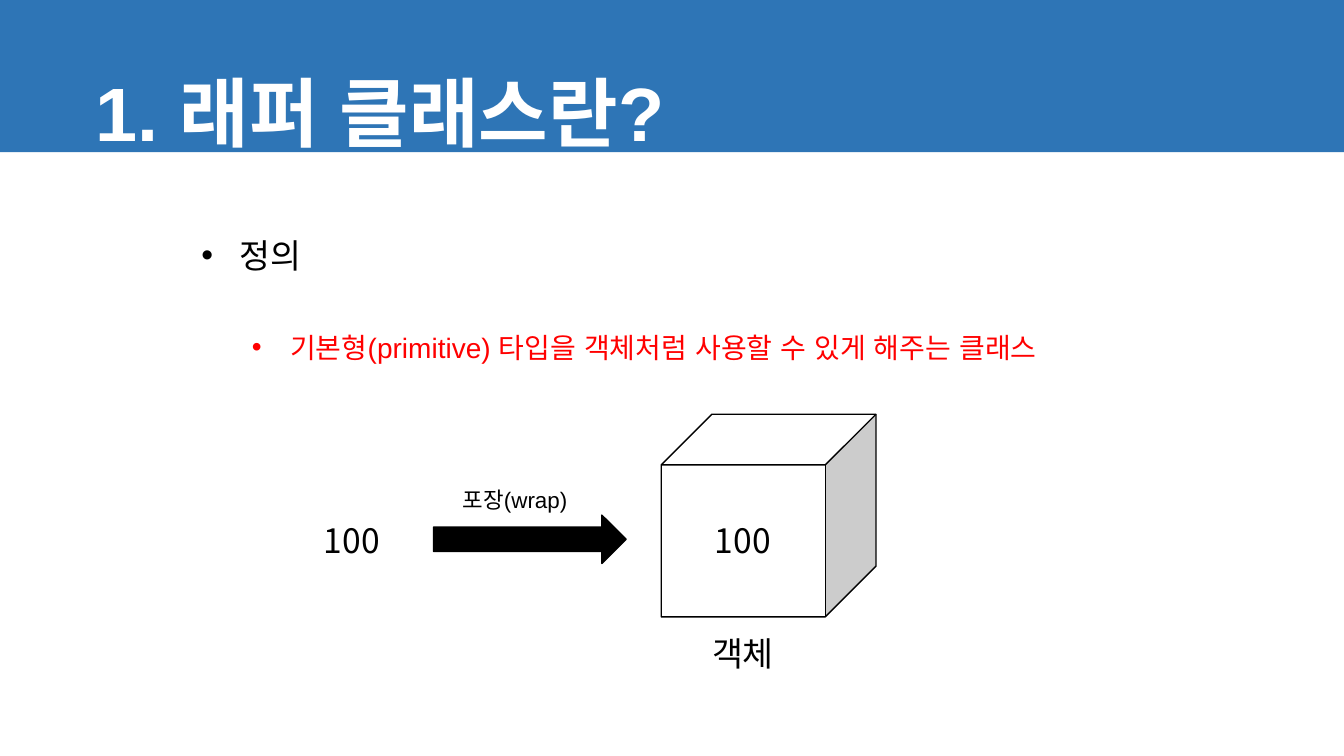
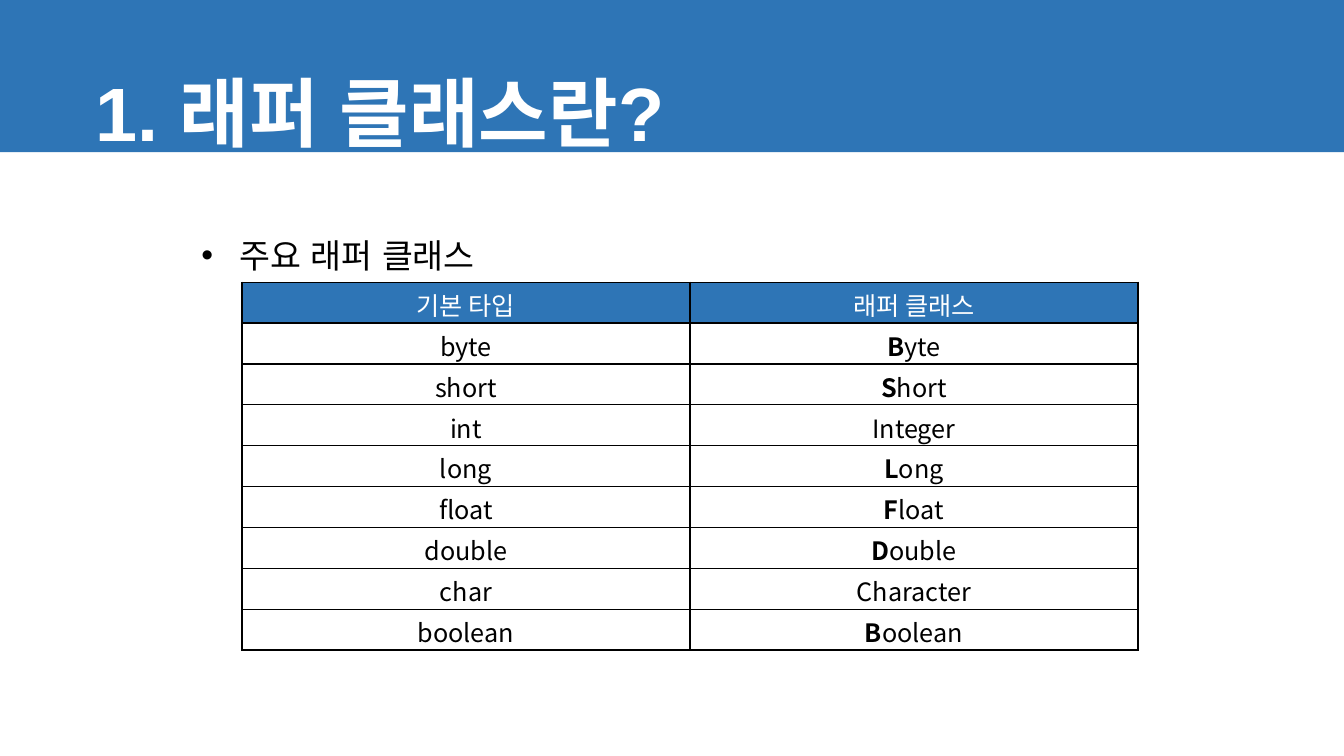
import pptx
import pptx.dml.color
import pptx.enum.shapes
import pptx.enum.text
import pptx.oxml
import pptx.oxml.ns
import pptx.util

BLUE, WHITE, BLACK, RED, CLEAR = "2E75B6", "FFFFFF", "000000", "FF0000", ""
ARIAL, NOTO = "Arial", "Noto Sans CJK KR"
WIDE, HIGH = pptx.util.Inches(13.333), pptx.util.Inches(7.5)
SHAPE = pptx.enum.shapes.MSO_SHAPE
ANCHOR = pptx.enum.text.MSO_ANCHOR
CENTER = pptx.enum.text.PP_ALIGN.CENTER
TITLE = "1. 래퍼 클래스란?"
# Columns of the wrapping diagram, in percent of the slide's width
LEFT, MID, RIGHT, SPAN = 20.1, 32.25, 49.2, 12.15
TYPES = [
    ("byte", "Byte"), ("short", "Short"), ("int", "Integer"),
    ("long", "Long"), ("float", "Float"), ("double", "Double"),
    ("char", "Character"), ("boolean", "Boolean"),
]


def color(code):
    return pptx.dml.color.RGBColor.from_string(code)


def area(left, top, width, height):
    """Turn percent of the slide's size into lengths."""
    return [int(share * side / 100) for share, side in
            ((left, WIDE), (top, HIGH), (width, WIDE), (height, HIGH))]


def node(tag, inner=""):
    """Make a drawing element from its tag with attributes and its content."""
    name = tag.split()[0]
    space = pptx.oxml.ns.nsdecls("a")
    return pptx.oxml.parse_xml(f"<a:{tag} {space}>{inner}</a:{name}>")


def write(para, text, size, font=ARIAL, ink=BLACK, bold=False):
    run = para.add_run()
    run.text = text
    run.font.size = pptx.util.Pt(size)
    run.font.name = font
    run.font.bold = bold
    run.font.color.rgb = color(ink)
    run.font._element.find(pptx.oxml.ns.qn("a:latin")).addnext(
        node(f'ea typeface="{font}"'))


def form(slide, kind, place, fill, line=None):
    shape = slide.shapes.add_shape(kind, *area(*place))
    shape.shadow.inherit = False
    shape.fill.solid()
    shape.fill.fore_color.rgb = color(fill)
    if line:
        shape.line.color.rgb = color(line)
        shape.line.width = pptx.util.Pt(1)
    else:
        shape.line.fill.background()


def frame(slide, place, anchor=ANCHOR.TOP):
    text = slide.shapes.add_textbox(*area(*place)).text_frame
    text.word_wrap = True
    text.vertical_anchor = anchor
    return text


def label(slide, place, text, size=24, font=NOTO):
    para = frame(slide, place).paragraphs[0]
    para.alignment = CENTER
    write(para, text, size, font)


def bullet(para, text, level=0, size=24, ink=BLACK):
    para.level = level
    para.line_spacing = 2.5
    para.space_before = pptx.util.Pt(3.5)
    props = para._p.get_or_add_pPr()
    hang = pptx.util.Inches(0.38)
    props.set("marL", str(hang + level * pptx.util.Inches(0.5)))
    props.set("indent", str(-hang))
    props.append(node('buFont typeface="Arial"'))
    props.append(node('buChar char="•"'))
    write(para, text, size, ink=ink)


def page(deck, topic, height):
    """Add a slide with title band and topic; return it and the topic's text."""
    slide = deck.slides.add_slide(deck.slide_layouts[6])
    form(slide, SHAPE.RECTANGLE, (0, 0, 100, 20.13), BLUE)
    para = frame(slide, (6.38, 7.87, 86.25, 13.6), ANCHOR.BOTTOM).paragraphs[0]
    para.line_spacing = 0.9
    write(para, TITLE, 54, ink=WHITE, bold=True)
    body = frame(slide, (14.25, 22.4, 78.38, height))
    bullet(body.paragraphs[0], topic)
    return slide, body


def style(cell, fill):
    """Set borders, fill, margins and alignment of a cell."""
    props = cell._tc.get_or_add_tcPr()
    ink = f'<a:solidFill><a:srgbClr val="{BLACK}"/></a:solidFill>'
    for side in "LRTB":
        props.append(node(f'ln{side} w="{pptx.util.Pt(1)}"', ink))
    if fill:
        cell.fill.solid()
        cell.fill.fore_color.rgb = color(fill)
    else:
        cell.fill.background()
    cell.margin_top, cell.margin_bottom = pptx.util.Inches(0.04), 0
    para = cell.text_frame.paragraphs[0]
    para.alignment = CENTER
    return para


def grid(slide, place, heads, rows):
    box = area(*place)
    count = len(rows) + 1
    table = slide.shapes.add_table(count, len(heads), *box).table
    for row in table.rows:
        row.height = box[3] // count
    for col, head in enumerate(heads):
        write(style(table.cell(0, col), BLUE), head, 18, NOTO, WHITE)
    for at, (prim, wrap) in enumerate(rows, 1):
        write(style(table.cell(at, 0), CLEAR), prim, 18, NOTO)
        para = style(table.cell(at, 1), CLEAR)
        # A wrapper that only capitalises its type has a bold initial
        cut = 1 if wrap.lower() == prim else 0
        if cut:
            write(para, wrap[:cut], 18, NOTO, bold=True)
        write(para, wrap[cut:], 18, NOTO)


def define(deck):
    slide, body = page(deck, "정의", 26)
    bullet(body.add_paragraph(),
           "기본형(primitive) 타입을 객체처럼 사용할 수 있게 해주는 클래스",
           1, 20, RED)
    form(slide, SHAPE.CUBE, (RIGHT, 54.8, 15.98, 26.8), WHITE, BLACK)
    for left in (RIGHT, LEFT):
        label(slide, (left, 68.13, SPAN, 6.67), "100")
    form(slide, SHAPE.RIGHT_ARROW, (MID, 68.13, 14.33, 6.4), BLACK, BLACK)
    label(slide, (MID, 63.6, SPAN, 4.93), "포장(wrap)", 16, ARIAL)
    label(slide, (RIGHT, 83.07, SPAN, 6.67), "객체")


def classes(deck):
    slide, _ = page(deck, "주요 래퍼 클래스", 12.4)
    grid(slide, (18, 37.33, 66.67, 48.67), ("기본 타입", "래퍼 클래스"), TYPES)


def main():
    deck = pptx.Presentation()
    deck.slide_width, deck.slide_height = WIDE, HIGH
    define(deck)
    classes(deck)
    deck.save("out.pptx")


if __name__ == "__main__":
    main()
